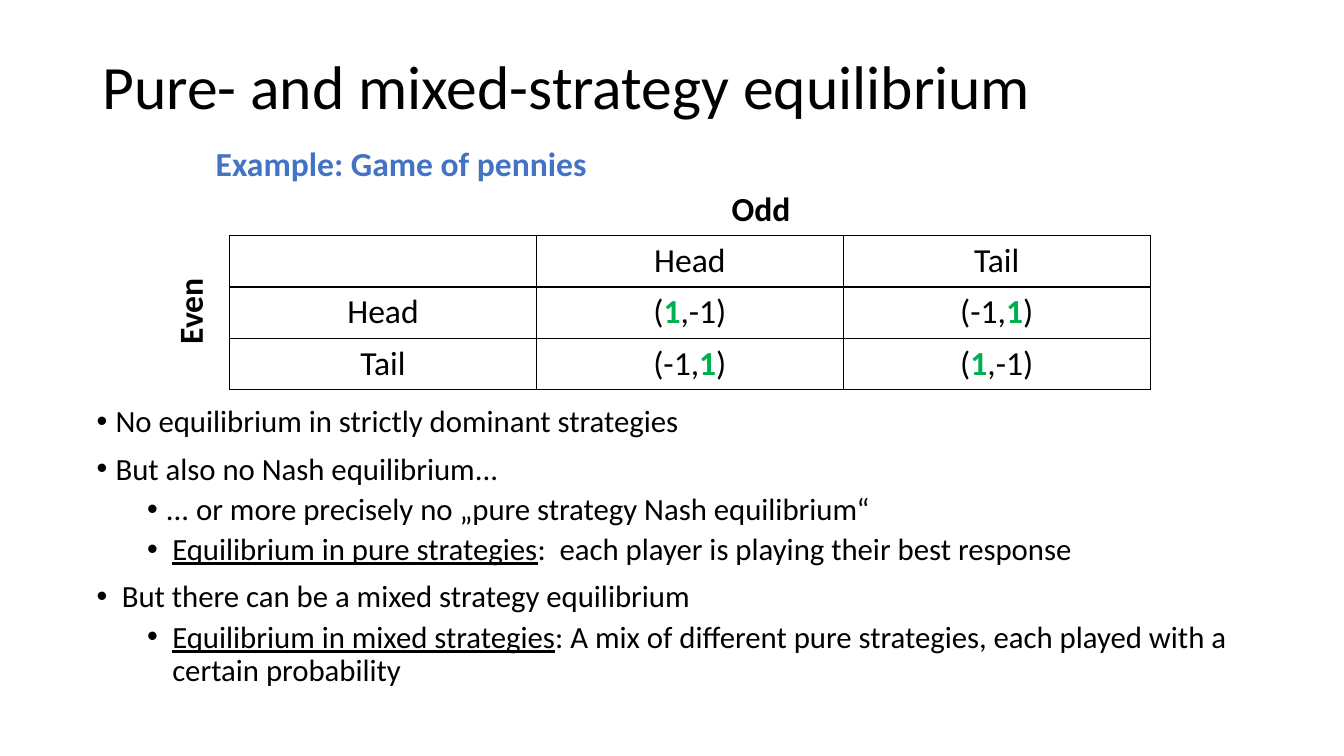
from lxml import etree
from pptx import Presentation
from pptx.dml.color import RGBColor
from pptx.enum import text
from pptx.oxml import ns
from pptx.util import Pt

# Content: a run is (text, style), where style is "", "b", "u" or "win"
FONT, BLACK, BLUE, GREEN = "Calibri", "000000", "4472C4", "00B050"
TITLE = "Pure- and mixed-strategy equilibrium"
EVEN_WINS = [("(", ""), ("1", "win"), (",-1)", "")]
ODD_WINS = [("(-1,", ""), ("1", "win"), (")", "")]
HEAD, TAIL = [("Head", "")], [("Tail", "")]
PAYOFFS = [
    [[], HEAD, TAIL],
    [HEAD, EVEN_WINS, ODD_WINS],
    [TAIL, ODD_WINS, EVEN_WINS],
]
# level, hanging indent, runs
BULLETS = [
    (0, 13.5, [("No equilibrium in strictly dominant strategies", "")]),
    (0, 13.5, [("But also no Nash equilibrium...", "")]),
    (1, 13.5, [("... or more precisely no „pure strategy Nash equilibrium“", "")]),
    (1, 18, [("Equilibrium in pure strategies", "u"),
             (":  each player is playing their best response", "")]),
    (0, 18, [("But there can be a mixed strategy equilibrium", "")]),
    (1, 18, [("Equilibrium in mixed strategies", "u"),
             (": A mix of different pure strategies, each played with a certain probability", "")]),
]

# Layout in points
TABLE_X, TABLE_Y, COL_W, ROW_H = 164, 168.5, 219.2, 36.5
LEVEL_INDENT, SPACE_BEFORE = 36, (10, 5)


def color(hex_string):
    return RGBColor.from_string(hex_string)


def add_runs(p, runs, size, ink=BLACK):
    for words, style in runs:
        r = p.add_run()
        r.text = words
        r.font.name, r.font.size = FONT, Pt(size)
        r.font.bold = style in ("b", "win")
        r.font.underline = style == "u"
        r.font.color.rgb = color(GREEN if style == "win" else ink)


def add_box(x, y, w, h):
    tf = s.shapes.add_textbox(Pt(x), Pt(y), Pt(w), Pt(h)).text_frame
    tf.word_wrap = True
    return tf


def add_borders(cell):
    cell.fill.background()
    tc_pr = cell._tc.get_or_add_tcPr()
    for i, side in enumerate(("lnL", "lnR", "lnT", "lnB")):
        ln = etree.Element(ns.qn("a:" + side), w=str(Pt(1)))
        fill = etree.SubElement(ln, ns.qn("a:solidFill"))
        etree.SubElement(fill, ns.qn("a:srgbClr"), val=BLACK)
        tc_pr.insert(i, ln)


def add_bullet(p, level, hang):
    p_pr = p._p.get_or_add_pPr()
    p_pr.set("marL", str(Pt(level * LEVEL_INDENT + hang)))
    p_pr.set("indent", str(-Pt(hang)))
    etree.SubElement(p_pr, ns.qn("a:buFont"), typeface="Arial")
    etree.SubElement(p_pr, ns.qn("a:buChar"), char="•")


prs = Presentation()
prs.slide_width, prs.slide_height = Pt(960), Pt(540)
s = prs.slides.add_slide(prs.slide_layouts[6])

# Payoff table
n = len(PAYOFFS)
table = s.shapes.add_table(n, n, Pt(TABLE_X), Pt(TABLE_Y), Pt(n * COL_W), Pt(n * ROW_H)).table
table.first_row = table.horz_banding = False
for col in table.columns:
    col.width = Pt(COL_W)
for i, row in enumerate(PAYOFFS):
    table.rows[i].height = Pt(ROW_H)
    for j, runs in enumerate(row):
        cell = table.cell(i, j)
        add_borders(cell)
        p = cell.text_frame.paragraphs[0]
        p.alignment = text.PP_ALIGN.CENTER
        add_runs(p, runs, 24)

# Example heading and player names
tf = add_box(147, 98.6, 452, 36)
add_runs(tf.paragraphs[0], [("Example: Game of pennies", "b")], 24, BLUE)
tf = add_box(515.5, 131, 152.6, 36)
add_runs(tf.paragraphs[0], [("Odd", "b")], 24)
tf = add_box(117.4, TABLE_Y, 44, 108)
tf._txBody.bodyPr.set("vert", "vert270")
tf.paragraphs[0].alignment = text.PP_ALIGN.CENTER
add_runs(tf.paragraphs[0], [("Even", "b")], 24)

# Bullet list
tf = add_box(62, 286.6, 828, 225)
for i, (level, hang, runs) in enumerate(BULLETS):
    p = tf.add_paragraph() if i else tf.paragraphs[0]
    p.level, p.line_spacing = level, 0.9
    p.space_before = Pt(SPACE_BEFORE[level])
    add_bullet(p, level, hang)
    add_runs(p, runs, 22)

# Title
tf = add_box(66, 11.5, 828, 104.4)
tf.vertical_anchor = text.MSO_ANCHOR.MIDDLE
tf.paragraphs[0].line_spacing = 0.9
add_runs(tf.paragraphs[0], [(TITLE, "")], 44)

prs.save("out.pptx")
